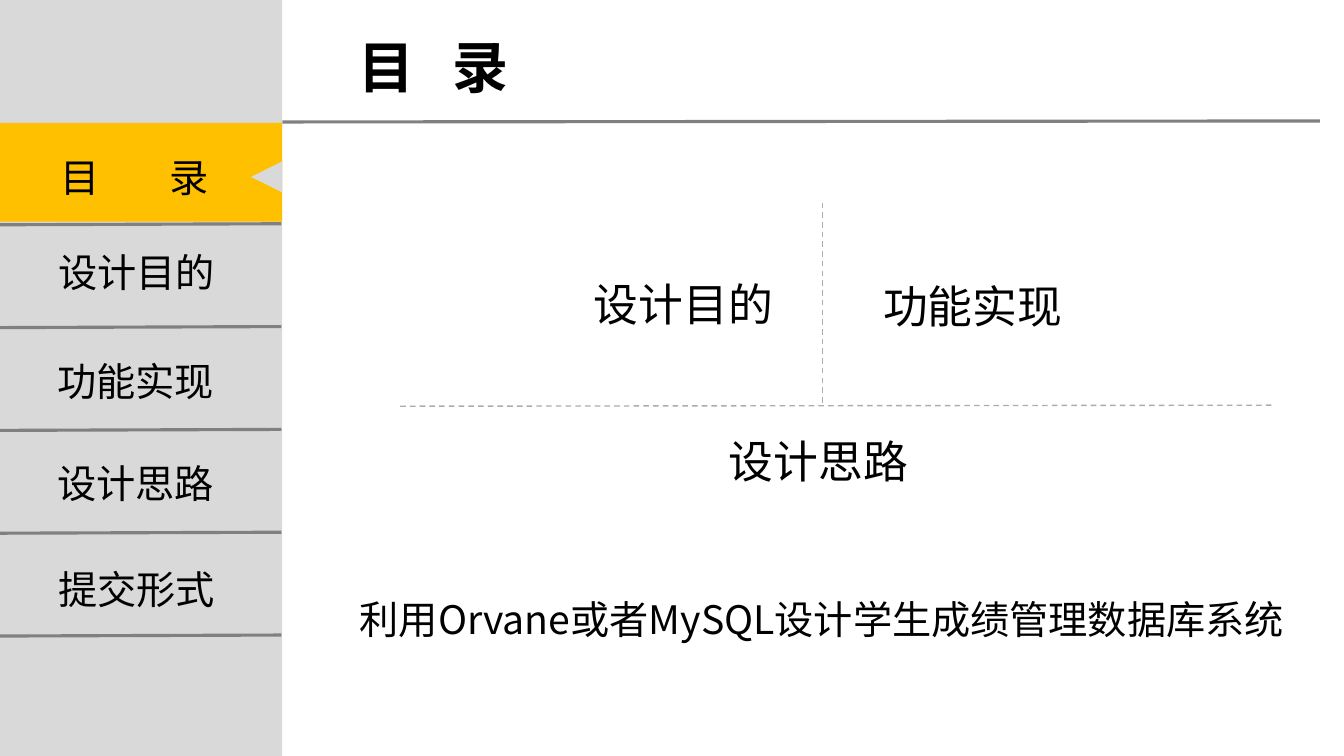
from lxml import etree
from pptx import Presentation
from pptx.dml.color import RGBColor
from pptx.enum.dml import MSO_LINE
from pptx.enum.shapes import MSO_CONNECTOR, MSO_SHAPE
from pptx.enum.text import MSO_ANCHOR, MSO_AUTO_SIZE, PP_ALIGN
from pptx.oxml.ns import qn
from pptx.util import Inches, Pt

STRAIGHT = MSO_CONNECTOR.STRAIGHT
RECT, TRIANGLE = MSO_SHAPE.RECTANGLE, MSO_SHAPE.ISOSCELES_TRIANGLE
DASH, SOLID = MSO_LINE.DASH, MSO_LINE.SOLID
TOP, LEFT, FIT_NONE = MSO_ANCHOR.TOP, PP_ALIGN.LEFT, MSO_AUTO_SIZE.NONE

COLOR = {"panel": "D9D9D9", "active": "FFC000", "rule": "808080",
         "dash": "AFABAB", "text": "000000"}
CJK = "Noto Sans CJK SC"

deck = Presentation()
deck.slide_width, deck.slide_height = Inches(13.33), Inches(7.5)
slide = deck.slides.add_slide(deck.slide_layouts[5])
shapes = slide.shapes


def write(box, text, place, size, font="Arial", bold=False, tab=None):
    box.left, box.top, box.width, box.height = [Inches(v) for v in place]
    frame = box.text_frame
    frame.word_wrap = True
    frame.auto_size = FIT_NONE
    frame.vertical_anchor = TOP
    para = frame.paragraphs[0]
    para.alignment = LEFT
    if tab:
        stops = etree.SubElement(para._p.get_or_add_pPr(), qn("a:tabLst"))
        etree.SubElement(stops, qn("a:tab"), pos=str(Inches(tab)), algn="l")
    run = para.add_run()
    run.text = text
    run.font.name, run.font.size, run.font.bold = font, Pt(size), bold
    run.font.color.rgb = RGBColor.from_string(COLOR["text"])
    etree.SubElement(run._r.get_or_add_rPr(), qn("a:ea"), typeface=CJK)


def rule(x1, y1, x2, y2, color="rule", width=2.25, dash=SOLID):
    line = shapes.add_connector(STRAIGHT, *[Inches(v) for v in (x1, y1, x2, y2)])
    line.line.color.rgb = RGBColor.from_string(COLOR[color])
    line.line.width = Pt(width)
    line.line.dash_style = dash
    etree.SubElement(line._element.spPr, qn("a:effectLst"))


# Title and the line under it
write(shapes.title, "目\t录", (3.46, 0.27, 2.6, 0.77), 40, bold=True, tab=0.93)
rule(2.8, 1.21, 13.09, 1.2)

# Sidebar panel, active entry and its pointer
for kind, color, turn, place in [
    (RECT, "panel", 0, (0, 0, 2.8, 7.5)),
    (RECT, "active", 0, (0, 1.22, 2.8, 0.98)),
    (TRIANGLE, "panel", 270, (2.49, 1.6, 0.31, 0.31)),
]:
    part = shapes.add_shape(kind, *[Inches(v) for v in place])
    part.shadow.inherit = False
    part.rotation = turn
    part.fill.solid()
    part.fill.fore_color.rgb = RGBColor.from_string(COLOR[color])
    part.line.fill.background()

# Sidebar entries, each with a line below
entries = [("目\t录", 0.5, 1.47, 1.08), ("设计目的", 0.48, 2.41, None),
           ("功能实现", 0.47, 3.5, None), ("设计思路", 0.47, 4.51, None),
           ("提交形式", 0.48, 5.56, None)]
for row, (text, x, y, tab) in enumerate(entries):
    low = 2.23 + 1.02 * row
    rule(0, low, 2.79, low - 0.01)
    write(shapes.add_textbox(0, 0, 0, 0), text, (x, y, 2.17, 0.57), 28, tab=tab)

# Dashed cross lines between the topics
rule(3.97, 4.03, 12.63, 4.02, "dash", 1, DASH)
rule(8.16, 2.01, 8.16, 4.03, "dash", 1, DASH)

# Topics
for text, x, y in [("设计目的", 5.79, 2.7), ("功能实现", 8.66, 2.72),
                   ("设计思路", 7.13, 4.25)]:
    write(shapes.add_textbox(0, 0, 0, 0), text, (x, y, 2.05, 0.64), 32)

# Task statement
write(shapes.add_textbox(0, 0, 0, 0), "利用Orvane或者MySQL设计学生成绩管理数据库系统",
      (3.47, 5.86, 9.8, 0.57), 28, font=CJK)

deck.save("out.pptx")
